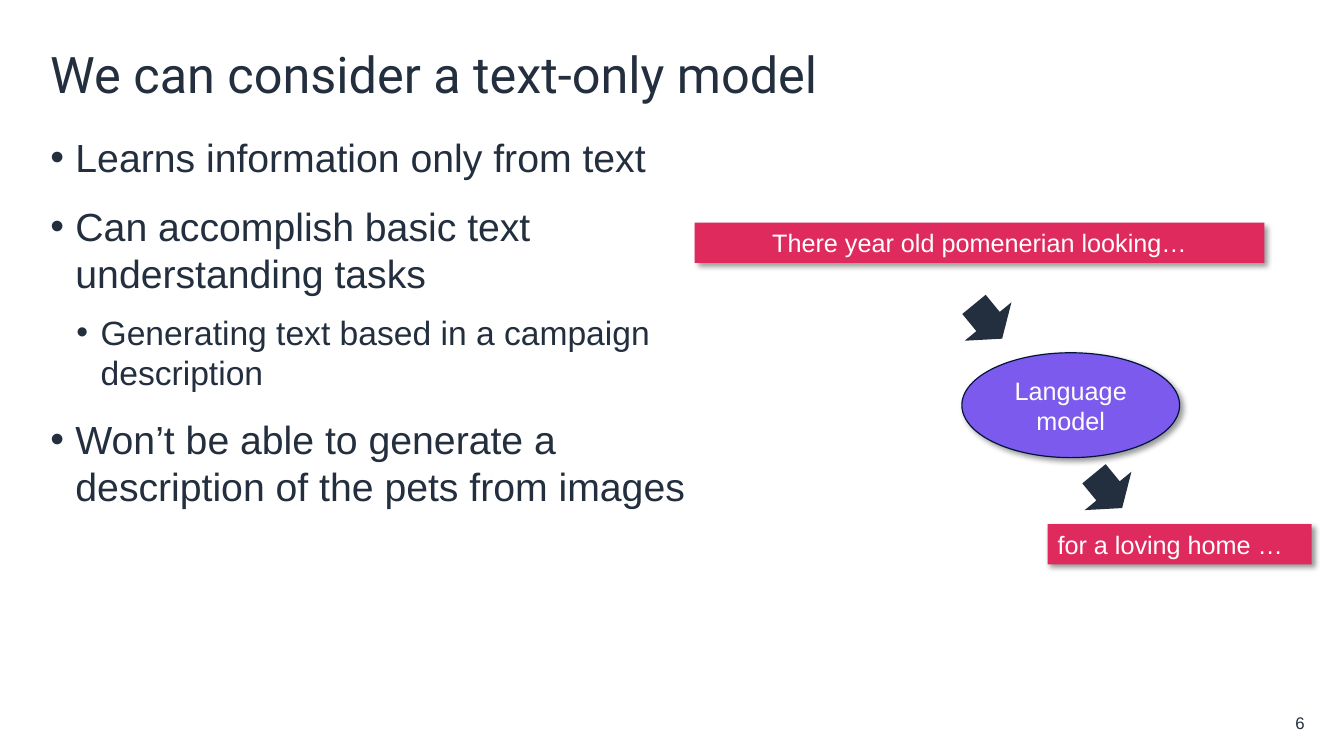
"""Builds the slide on a text-only language model."""
from lxml.etree import SubElement
from pptx import Presentation
from pptx.dml.color import RGBColor
from pptx.enum.shapes import MSO_SHAPE
from pptx.enum.text import MSO_ANCHOR, PP_ALIGN
from pptx.oxml.ns import qn
from pptx.util import Inches, Pt

COLORS = {"ink": "232F3E", "pink": "DF2A5D", "violet": "7C5AED",
          "outline": "001539", "white": "FFFFFF", "shadow": "000000"}
TITLE = "We can consider a text-only model"
PAGE_NUMBER = "6"
POINTS = [
    (0, "Learns information only from text"),
    (0, "Can accomplish basic text understanding tasks"),
    (1, "Generating text based in a campaign description"),
    (0, "Won’t be able to generate a description of the pets from images"),
]
LEVELS = [
    {"size": 28, "margin": 0.25, "hang": 0.25, "before": 10},
    {"size": 24, "margin": 0.5, "hang": 0.24, "before": 5},
]
STAGES = [
    ("There year old pomenerian looking…", MSO_SHAPE.RECTANGLE, "pink",
     (6.89, 2.21, 5.65, 0.4), PP_ALIGN.CENTER, True),
    ("for a loving home …", MSO_SHAPE.RECTANGLE, "pink",
     (10.39, 5.2, 2.62, 0.4), PP_ALIGN.LEFT, False),
    ("Language model", MSO_SHAPE.OVAL, "violet",
     (9.54, 3.5, 2.16, 1.04), PP_ALIGN.CENTER, True),
]
ARROW_CORNERS = [(9.5, 2.97), (10.69, 4.65)]
ARROW_SIZE = (0.6, 0.44)
ARROW_TURN = 320.6


def color(name):
    return RGBColor.from_string(COLORS[name])


def write(paragraph, words, size, ink="ink", font="Arial", align=PP_ALIGN.LEFT):
    paragraph.text = words
    paragraph.alignment = align
    for run in paragraph.runs:
        run.font.size = Pt(size)
        run.font.name = font
        run.font.color.rgb = color(ink)


def add_text_frame(slide, box, anchor):
    frame = slide.shapes.add_textbox(*map(Inches, box)).text_frame
    frame.word_wrap = True
    frame.vertical_anchor = anchor
    return frame


def add_filled(slide, kind, box, fill):
    shape = slide.shapes.add_shape(kind, *map(Inches, box))
    shape.shadow.inherit = False
    shape.fill.solid()
    shape.fill.fore_color.rgb = color(fill)
    shape.line.fill.background()
    return shape


def cast_shadow(shape):
    effects = shape._element.spPr.find(qn("a:effectLst"))
    shadow = SubElement(effects, qn("a:outerShdw"), blurRad=str(Pt(4)),
                        dist=str(Pt(3)), dir=str(45 * 60000),
                        algn="tl", rotWithShape="0")
    tint = SubElement(shadow, qn("a:srgbClr"), val=COLORS["shadow"])
    SubElement(tint, qn("a:alpha"), val="40000")


def add_bullet(paragraph, level):
    style = LEVELS[level]
    paragraph.level = level
    paragraph.space_before = Pt(style["before"])
    paragraph.space_after = Pt(6)
    properties = paragraph._p.get_or_add_pPr()
    properties.set("marL", str(Inches(style["margin"])))
    properties.set("indent", str(-Inches(style["hang"])))
    bullet_color = SubElement(properties, qn("a:buClr"))
    SubElement(bullet_color, qn("a:srgbClr"), val=COLORS["ink"])
    SubElement(properties, qn("a:buFont"), typeface="Arial")
    SubElement(properties, qn("a:buChar"), char="•")


def add_stage(slide, words, kind, fill, box, align, wrap):
    stage = add_filled(slide, kind, box, fill)
    cast_shadow(stage)
    frame = stage.text_frame
    frame.word_wrap = wrap
    frame.vertical_anchor = MSO_ANCHOR.TOP
    if kind == MSO_SHAPE.OVAL:
        frame.vertical_anchor = MSO_ANCHOR.MIDDLE
        stage.line.color.rgb = color("outline")
        stage.line.width = Pt(0.85)
    write(frame.paragraphs[0], words, 18, "white", align=align)


def main():
    deck = Presentation()
    deck.slide_width, deck.slide_height = Inches(13.33), Inches(7.5)
    slide = deck.slides.add_slide(deck.slide_layouts[6])

    page = add_text_frame(slide, (12.41, 7.05, 0.53, 0.25), MSO_ANCHOR.MIDDLE)
    page.margin_left = page.margin_right = page.margin_top = page.margin_bottom = 0
    write(page.paragraphs[0], PAGE_NUMBER, 12, align=PP_ALIGN.RIGHT)

    title = add_text_frame(slide, (0.4, 0.33, 12.54, 0.8), MSO_ANCHOR.MIDDLE)
    write(title.paragraphs[0], TITLE, 36, font="Roboto")

    body = add_text_frame(slide, (0.4, 1.27, 6.49, 5.76), MSO_ANCHOR.TOP)
    for index, (level, words) in enumerate(POINTS):
        point = body.add_paragraph() if index else body.paragraphs[0]
        write(point, words, LEVELS[level]["size"])
        add_bullet(point, level)

    for stage in STAGES:
        add_stage(slide, *stage)
    for corner in ARROW_CORNERS:
        arrow = add_filled(slide, MSO_SHAPE.DOWN_ARROW, corner + ARROW_SIZE, "ink")
        arrow.rotation = ARROW_TURN
    deck.save("out.pptx")


if __name__ == "__main__":
    main()
